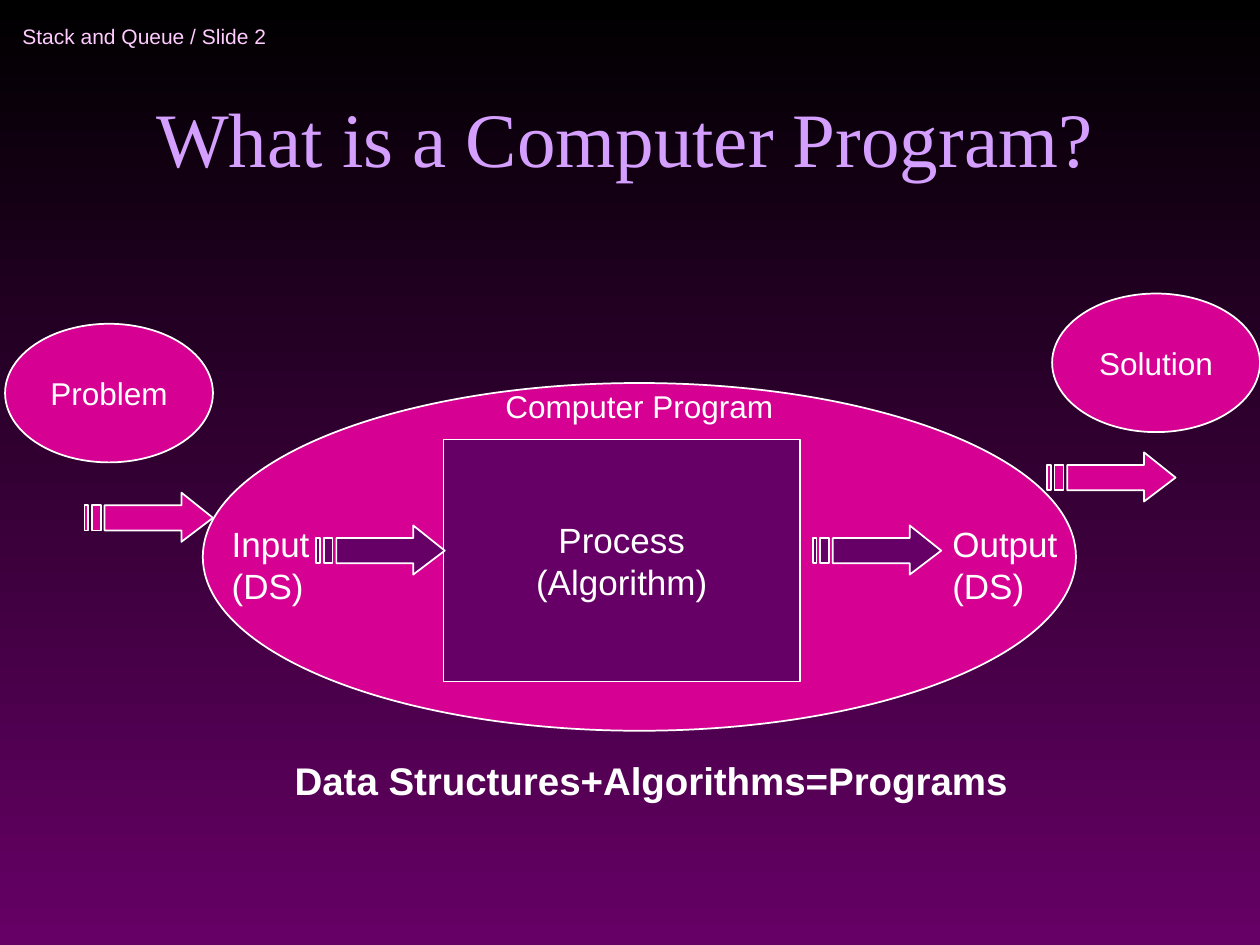
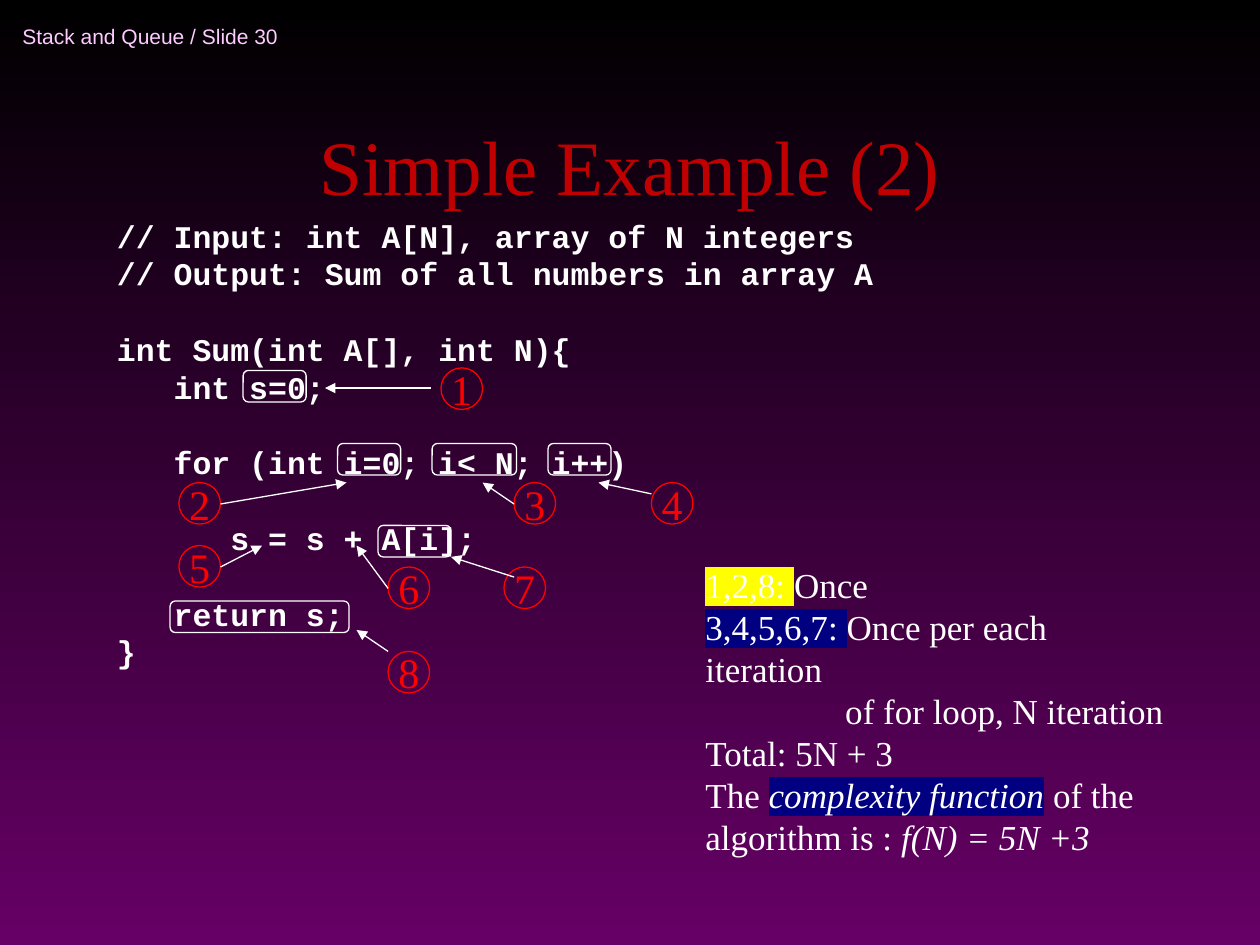
from lxml.etree import SubElement
from pptx import Presentation
from pptx.dml.color import RGBColor
from pptx.enum.shapes import MSO_CONNECTOR, MSO_SHAPE
from pptx.enum.text import MSO_ANCHOR, PP_ALIGN
from pptx.oxml import parse_xml
from pptx.oxml.ns import nsdecls, qn
from pptx.util import Inches, Pt

WHITE, PINK, PLUM, RED = "FFFFFF", "D60093", "660066", "FF0000"
YELLOW, NAVY = "FFFF00", "000080"
HEAD = {"name": "Arial", "size": Pt(12), "color": "FFCCFF"}
TITLE = {"name": "Times New Roman", "size": Pt(44), "color": "D49FFF"}
LABEL = {"name": "Arial", "size": Pt(18), "color": WHITE}
BODY = {**LABEL, "size": Pt(20)}
MOTTO = {**LABEL, "size": Pt(22), "bold": True}
CODE = {"name": "Courier New", "size": Pt(18), "color": WHITE, "bold": True}
NOTE = {"name": "Times New Roman", "size": Pt(20), "color": WHITE}
MARK = {**NOTE, "size": Pt(24), "color": RED}
LEAD = 1.2
TAB = 0.45


def rgb(code):
    """Turn a hex string into a colour."""
    return RGBColor.from_string(code)


def apply(item, values):
    """Set each named attribute of an item."""
    for key, value in values.items():
        setattr(item, key, value)


def add_run(para, text, form):
    """Add one run in the given format."""
    form = dict(form)
    color, back = form.pop("color"), form.pop("back", None)
    run = para.add_run()
    run.text = text
    run.font.color.rgb = rgb(color)
    apply(run.font, form)
    if back:
        fill = run.font._element.find(qn("a:solidFill"))
        fill.addnext(parse_xml(
            f'<a:highlight {nsdecls("a")}><a:srgbClr val="{back}"/></a:highlight>'))


def write(frame, lines, form, align=PP_ALIGN.LEFT, anchor=MSO_ANCHOR.TOP, wrap=False):
    """Fill a frame with lines of (runs, indent, blank lines before)."""
    apply(frame, {"word_wrap": wrap, "vertical_anchor": anchor})
    lead = Pt(form["size"].pt * LEAD)
    for pos, (runs, indent, gap) in enumerate(lines):
        para = frame.add_paragraph() if pos else frame.paragraphs[0]
        apply(para, {"alignment": align, "line_spacing": lead, "space_before": lead * gap})
        if indent:
            para._p.get_or_add_pPr().set("marL", str(Inches(indent)))
        for text, extra in runs:
            add_run(para, text, {**form, **extra})


def plain(*texts):
    """Make simple lines without indent or gap."""
    return [([(text, {})], 0, 0) for text in texts]


def add_text(slide, box, lines, form, **opts):
    """Add a text box."""
    area = slide.shapes.add_textbox(*map(Inches, box))
    write(area.text_frame, lines, form, **opts)


def paint(shape, fill, line, width):
    """Give a shape its fill and outline without a shadow."""
    shape.shadow.inherit = False
    if fill:
        shape.fill.solid()
        shape.fill.fore_color.rgb = rgb(fill)
    else:
        shape.fill.background()
    shape.line.color.rgb = rgb(line)
    shape.line.width = Pt(width)


def add_shape(slide, kind, box, fill=None, line=WHITE, width=1, lines=(), form=LABEL):
    """Add a preset shape with centred text."""
    shape = slide.shapes.add_shape(kind, *map(Inches, box))
    paint(shape, fill, line, width)
    write(shape.text_frame, lines, form, PP_ALIGN.CENTER, MSO_ANCHOR.MIDDLE)


def add_block(slide, left, top, fill):
    """Add a block arrow with a striped tail."""
    body = [(77, 0), (77, 10), (16, 10), (16, 30), (77, 30), (77, 39), (102, 20)]
    bars = [[(a, 10), (a, 30), (b, 30), (b, 10)] for a, b in ((6, 13), (0, 3))]
    pen = slide.shapes.build_freeform(*body[0], scale=Inches(0.01))
    pen.add_line_segments(body[1:], close=True)
    for bar in bars:
        pen.move_to(*bar[0])
        pen.add_line_segments(bar[1:], close=True)
    paint(pen.convert_to_shape(Inches(left), Inches(top)), fill, WHITE, 1)


def add_arrow(slide, start, end):
    """Add a thin arrow between two points."""
    arrow = slide.shapes.add_connector(
        MSO_CONNECTOR.STRAIGHT, *map(Inches, (*start, *end)))
    arrow.line.color.rgb = rgb(WHITE)
    arrow.line.width = Pt(0.75)
    SubElement(arrow.line._get_or_add_ln(), qn("a:tailEnd"), type="triangle")
    SubElement(arrow._element.spPr, qn("a:effectLst"))


def add_slide(deck, number, title, box, color):
    """Add a slide with its running head and title."""
    slide = deck.slides.add_slide(deck.slide_layouts[6])
    add_text(slide, (0.08, 0.08, 2.75, 0.42), plain(f"Stack and Queue / Slide {number}"),
             HEAD, anchor=MSO_ANCHOR.MIDDLE)
    add_text(slide, box, plain(title), {**TITLE, "color": color},
             align=PP_ALIGN.CENTER, anchor=MSO_ANCHOR.BOTTOM, wrap=True)
    return slide


def draw_flow(slide, left, top, width, height):
    """Draw the program oval with its input, process and output."""
    add_shape(slide, MSO_SHAPE.OVAL, (left, top, width, height), PINK)
    add_text(slide, (left, top - 0.02, width, 0.4), plain("Computer Program"), LABEL,
             align=PP_ALIGN.CENTER)
    add_shape(slide, MSO_SHAPE.RECTANGLE, (left + 1.91, top + 0.45, 2.83, 1.92), PLUM,
              width=0.75, lines=plain("Process", "(Algorithm)"), form=BODY)
    for name, x, wide in (("Input", 0.13, 0.9), ("Output", 5.85, 1.1)):
        add_text(slide, (left + x, top + 1.06, wide, 0.77), plain(name, "(DS)"), BODY)
    for name, x, y in (("Problem", -1.57, -0.47), ("Solution", 6.74, -0.71)):
        add_shape(slide, MSO_SHAPE.OVAL, (left + x, top + y, 1.65, 1.1), PINK,
                  lines=plain(name))
    for x, y, fill in ((0.9, 1.13, PLUM), (4.84, 1.13, PLUM),
                       (-0.94, 0.87, PINK), (6.7, 0.55, PINK)):
        add_block(slide, left + x, top + y, fill)


def draw_code(slide, left, top, width, height):
    """Write the code and mark its counted steps."""
    rows = [("// Input: int A[N], array of N integers", 0, 0),
            ("// Output: Sum of all numbers in array A", 0, 0),
            ("int Sum(int A[], int N){", 0, 1),
            ("int s=0;", 1, 0),
            ("for (int i=0; i< N; i++)", 1, 1),
            ("s = s + A[i];", 2, 1),
            ("return s;", 1, 1),
            ("}", 0, 0)]
    lines = [([(text, {})], TAB * level, gap) for text, level, gap in rows]
    add_text(slide, (left, top, width, height), lines, CODE, wrap=True)
    for x, y, wide in ((0.52, 3.1, 1.42), (1.1, 1.27, 0.5), (1.85, 1.85, 0.5),
                       (2.17, 2.5, 0.58), (2.6, 1.85, 0.67), (3.52, 1.85, 0.5)):
        add_shape(slide, MSO_SHAPE.ROUNDED_RECTANGLE, (left + x, top + y, wide, 0.25),
                  width=0.75)
    steps = [((2.67, 1.25), (2.59, 1.41), (1.75, 1.41)),
             ((0.59, 2.16), (0.92, 2.33), (1.92, 2.16)),
             ((3.25, 2.16), (3.25, 2.33), (3, 2.16)),
             ((4.34, 2.16), (4.34, 2.25), (3.92, 2.16)),
             ((0.59, 2.66), (0.92, 2.83), (1.25, 2.66)),
             ((2.25, 2.83), (2.25, 3), (2, 2.66)),
             ((3.17, 2.83), (3.25, 2.91), (2.75, 2.75)),
             ((2.25, 3.5), (2.25, 3.5), (2, 3.33))]
    for number, points in enumerate(steps, 1):
        spot, start, end = [(left + x, top + y) for x, y in points]
        add_shape(slide, MSO_SHAPE.OVAL, (*spot, 0.33, 0.33), line=RED, width=0.75,
                  lines=plain(str(number)), form=MARK)
        add_arrow(slide, start, end)


def draw_count(slide, box):
    """Write how often each step runs."""
    slant = {"italic": True}
    lines = [([("1,2,8: ", {"back": YELLOW}), ("Once", {})], 0, 0),
             ([("3,4,5,6,7: ", {"back": NAVY}), ("Once per each iteration", {})], 0, 0),
             ([("of for loop, N iteration", {})], 1.11, 0),
             ([("Total: 5N + 3", {})], 0, 0),
             ([("The ", {}), ("complexity function", {**slant, "back": NAVY}),
               (" of the", {})], 0, 0),
             ([("algorithm is : ", {}), ("f(N) = 5N +3", slant)], 0, 0)]
    add_text(slide, box, lines, NOTE, wrap=True)


def main():
    """Build both slides and save the deck."""
    deck = Presentation()
    apply(deck, {"slide_width": Inches(10), "slide_height": Inches(7.5)})
    fill = deck.slide_master.background.fill
    fill.gradient()
    fill.gradient_angle = 270
    for stop, code in zip(fill.gradient_stops, ("000000", PLUM)):
        stop.color.rgb = rgb(code)

    flow = add_slide(deck, 2, "What is a Computer Program?",
                     (0.67, 0.25, 8.58, 1.25), "D49FFF")
    draw_flow(flow, 1.61, 3.04, 6.93, 2.76)
    add_text(flow, (2.24, 5.96, 5.88, 0.47),
             plain("Data Structures+Algorithms=Programs"), MOTTO)

    loop = add_slide(deck, 30, "Simple Example (2)", (0.5, 0.47, 9, 1.25), "C00000")
    draw_code(loop, 0.83, 1.67, 6.67, 4.04)
    draw_count(loop, (5.5, 4.42, 3.88, 2.1))
    deck.save("out.pptx")


if __name__ == "__main__":
    main()
